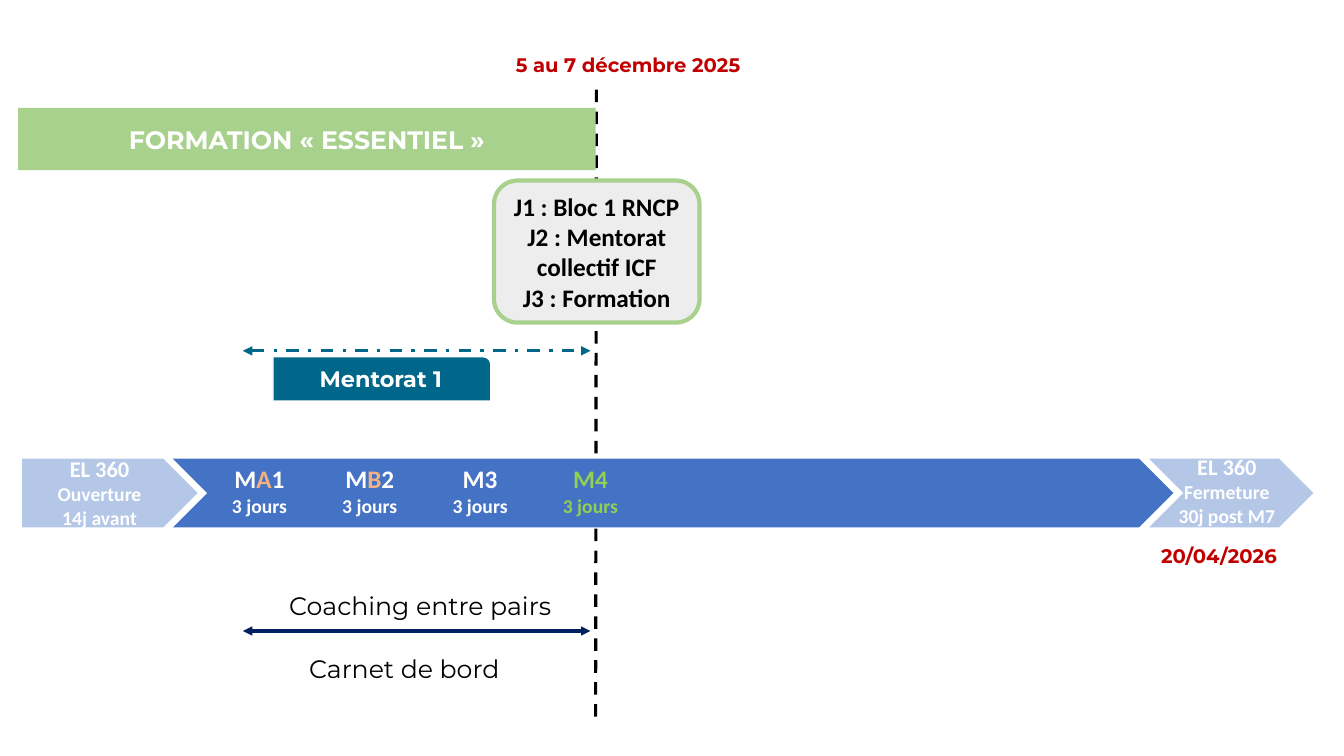
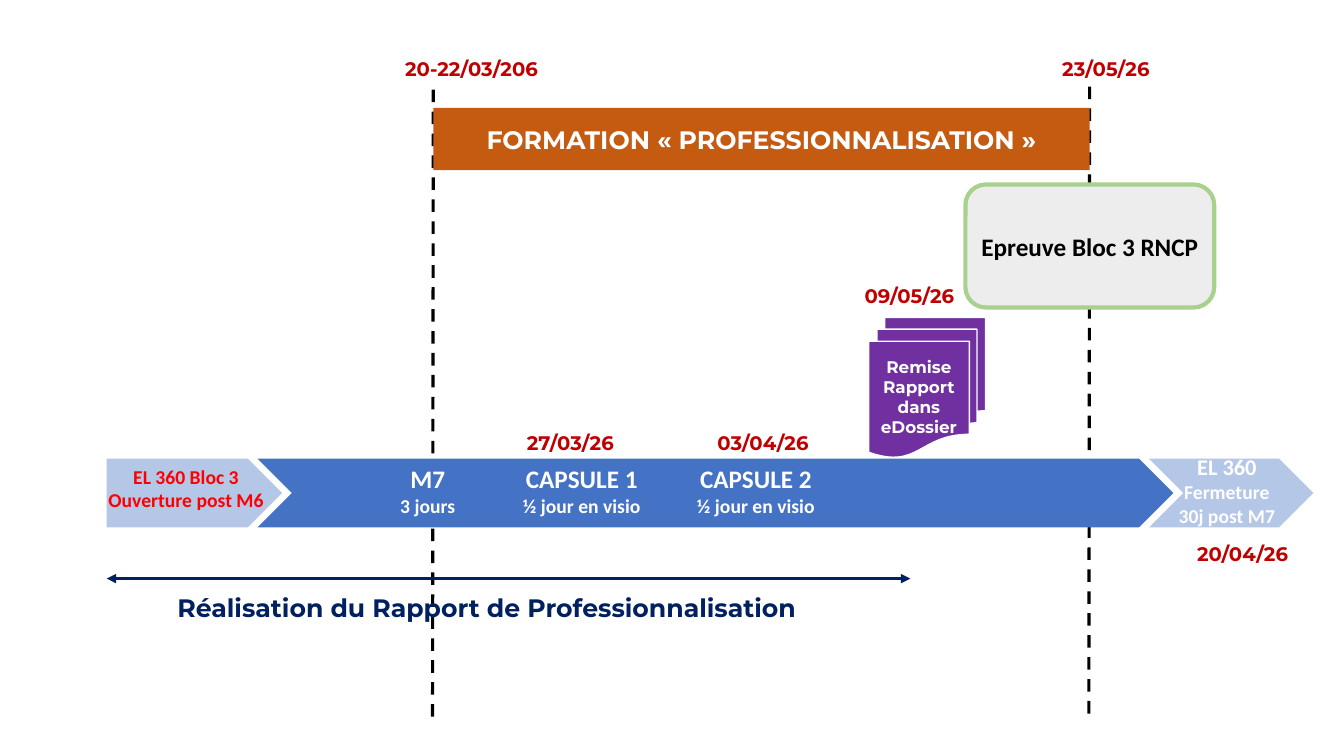
from lxml.etree import SubElement
from pptx import Presentation
from pptx.dml.color import RGBColor
from pptx.enum.dml import MSO_LINE
from pptx.enum.shapes import MSO_CONNECTOR, MSO_SHAPE
from pptx.enum.text import MSO_ANCHOR, MSO_AUTO_SIZE, PP_ALIGN
from pptx.oxml.ns import qn
from pptx.util import Cm, Pt

COLORS = {
    "white": "FFFFFF", "black": "000000", "blue": "4472C4", "pale_blue": "B4C7E7",
    "navy": "002060", "teal": "01678A", "green": "A9D18E", "bright_green": "92D050",
    "orange": "C55A11", "peach": "F4B183", "purple": "7030A0", "grey": "EDEDED",
    "date_red": "C00000", "red": "FF0000",
}


def text_style(name, size, color, bold=True):
    return {"name": name, "size": Pt(size), "bold": bold}, color


STYLES = {
    "banner": text_style("Montserrat", 18, "white"),
    "date": text_style("Montserrat", 14, "date_red"),
    "activity": text_style("Montserrat", 18, "black", False),
    "report": text_style("Montserrat", 18, "navy"),
    "mentoring": text_style("Montserrat", 16, "white"),
    "document": text_style("Montserrat", 12, "white"),
    "card": text_style("Calibri", 18, "black"),
    "module": text_style("Calibri", 18, "white"),
    "variant": text_style("Calibri", 18, "peach"),
    "current": text_style("Calibri", 18, "bright_green"),
    "duration": text_style("Calibri", 14, "white"),
    "current_duration": text_style("Calibri", 14, "bright_green"),
    "survey": text_style("Calibri", 16, "white"),
    "alert": text_style("Calibri", 14, "red"),
}

# Positions shared by both slides, in centimetres
BAND_TOP, BAND_HEIGHT, BAND_RIGHT = 11.56, 1.73, 29.57
BANNER_TOP, BANNER_HEIGHT = 2.72, 1.57
LINE_TOP, LINE_LENGTH = 2.26, 16


class Timeline:
    """Holds the style and the current slide; lengths are centimetres."""

    def __init__(self):
        self.presentation = Presentation()
        self.presentation.slide_width = Cm(33.87)
        self.presentation.slide_height = Cm(19.05)
        self.slide = None

    def new_slide(self):
        self.slide = self.presentation.slides.add_slide(self.presentation.slide_layouts[6])

    def color(self, name):
        return RGBColor.from_string(COLORS[name])

    def add_paragraphs(self, frame, paragraphs, align):
        """Each paragraph is a list of (text, style name) runs."""
        for index, runs in enumerate(paragraphs):
            paragraph = frame.paragraphs[0] if index == 0 else frame.add_paragraph()
            paragraph.alignment = align
            for text, style in runs:
                run = paragraph.add_run()
                run.text = text
                values, color = STYLES[style]
                for attribute, value in values.items():
                    setattr(run.font, attribute, value)
                run.font.color.rgb = self.color(color)

    def text(self, left, top, width, height, paragraphs, align=PP_ALIGN.LEFT, wrap=False):
        box = self.slide.shapes.add_textbox(Cm(left), Cm(top), Cm(width), Cm(height))
        box.text_frame.word_wrap = wrap
        box.text_frame.auto_size = MSO_AUTO_SIZE.SHAPE_TO_FIT_TEXT
        self.add_paragraphs(box.text_frame, paragraphs, align)

    def shape(self, kind, left, top, width, height, fill, line=None, line_width=1, paragraphs=()):
        shape = self.slide.shapes.add_shape(kind, Cm(left), Cm(top), Cm(width), Cm(height))
        shape.shadow.inherit = False
        shape.fill.solid()
        shape.fill.fore_color.rgb = self.color(fill)
        if line:
            shape.line.color.rgb = self.color(line)
            shape.line.width = Pt(line_width)
        else:
            shape.line.fill.background()
        shape.text_frame.vertical_anchor = MSO_ANCHOR.MIDDLE
        self.add_paragraphs(shape.text_frame, paragraphs, PP_ALIGN.CENTER)
        return shape

    def line(self, start, end, color, dash=None, arrows=False):
        points = [Cm(value) for value in (*start, *end)]
        connector = self.slide.shapes.add_connector(MSO_CONNECTOR.STRAIGHT, *points)
        connector.line.color.rgb = self.color(color)
        connector.line.width = Pt(2.25)
        if dash:
            connector.line.dash_style = dash
        properties = connector.element.spPr
        if arrows:
            outline = properties.find(qn("a:ln"))
            for end_name in ("a:headEnd", "a:tailEnd"):
                SubElement(outline, qn(end_name)).set("type", "triangle")
        SubElement(properties, qn("a:effectLst"))

    def marker(self, x, top=LINE_TOP):
        self.line((x, top), (x - 0.02, top + LINE_LENGTH), "black", MSO_LINE.DASH)

    def span(self, left, right, y, color, dash=None):
        self.line((left, y), (right, y), color, dash, arrows=True)

    def banner(self, left, right, text, fill):
        self.shape(MSO_SHAPE.RECTANGLE, left, BANNER_TOP, right - left, BANNER_HEIGHT, fill,
                   paragraphs=[[(text, "banner")]])

    def band(self, opening_left):
        """Opening arrow, main chevron and closing chevron with its label."""
        main_left = opening_left + 3.8
        for kind, left, width, fill in (
            (MSO_SHAPE.CHEVRON, main_left, BAND_RIGHT - main_left, "blue"),
            (MSO_SHAPE.PENTAGON, opening_left, 4.42, "pale_blue"),
            (MSO_SHAPE.CHEVRON, 28.96, 4.14, "pale_blue"),
        ):
            self.shape(kind, left, BAND_TOP, width, BAND_HEIGHT, fill)
        self.survey(30.92, 11.3, "Fermeture", "30j post M7")

    def centered(self, center, top, width, height, paragraphs):
        self.text(center - width / 2, top, width, height, paragraphs, PP_ALIGN.CENTER)

    def survey(self, center, top, moment, delay):
        self.centered(center, top, 3.08, 2.13, [
            [("EL 360", "survey")], [(moment, "duration")], [(delay, "duration")]])

    def module(self, center, title, duration="3 jours", style="duration"):
        self.centered(center, BAND_TOP, 3.5, 1.63, [title, [(duration, style)]])

    def date(self, left, top, width, text):
        self.text(left, top, width, 0.86, [[(text, "date")]])

    def card(self, left, top, width, height, lines):
        card = self.shape(MSO_SHAPE.ROUNDED_RECTANGLE, left, top, width, height, "grey",
                          "green", 3, [[(line, "card")] for line in lines])
        card.text_frame.margin_left = card.text_frame.margin_right = Cm(0.2)


def essential_slide(timeline):
    timeline.new_slide()
    timeline.marker(15.03)
    timeline.band(0.56)
    timeline.survey(2.51, 11.35, "Ouverture", "14j avant")

    # Modules at equal steps
    titles = (
        [("M", "module"), ("A", "variant"), ("1", "module")],
        [("M", "module"), ("B", "variant"), ("2", "module")],
        [("M3", "module")],
    )
    for index, title in enumerate(titles):
        timeline.module(6.54 + 2.78 * index, title)
    timeline.module(14.88, [("M4", "current")], style="current_duration")

    # Peer coaching and mentoring
    timeline.span(6.12, 14.88, 15.9, "navy")
    timeline.text(7.04, 14.76, 7.21, 1.02, [[("Coaching entre pairs", "activity")]])
    timeline.text(7.54, 16.33, 7.21, 1.04, [[("Carnet de bord", "activity")]], wrap=True)
    timeline.span(6.12, 14.88, 8.84, "teal", MSO_LINE.DASH_DOT)
    timeline.shape(MSO_SHAPE.ROUND_1_RECTANGLE, 6.88, 8.99, 5.49, 1.12, "teal", "white",
                   paragraphs=[[("Mentorat 1", "mentoring")]])

    # Programme, dates and banner
    timeline.card(12.45, 4.55, 5.18, 3.58,
                  ["J1 : Bloc 1 RNCP", "J2 : Mentorat collectif ICF", "J3 : Formation"])
    timeline.date(12.75, 1.22, 6.22, "5 au 7 décembre 2025")
    timeline.date(29.01, 13.59, 3.45, "20/04/2026")
    timeline.banner(0.46, 15.01, "FORMATION « ESSENTIEL »", "green")


def professional_slide(timeline):
    timeline.new_slide()
    timeline.marker(27.46, 2.18)
    timeline.marker(10.92)
    timeline.band(2.69)
    timeline.centered(4.69, 11.58, 4.45, 1.45, [
        [("EL 360 Bloc 3", "alert")], [("Ouverture post M6", "alert")]])
    timeline.banner(10.92, 27.46, "FORMATION « PROFESSIONNALISATION »", "orange")

    # Modules
    timeline.module(10.78, [("M7", "module")])
    for center, title in ((14.66, "CAPSULE 1"), (19.05, "CAPSULE 2")):
        timeline.module(center, [(title, "module")], "½ jour en visio")

    # Report and exam
    timeline.span(2.69, 22.94, 14.58, "navy")
    timeline.text(4.22, 14.81, 16.94, 1.02,
                  [[("Réalisation du Rapport de Professionnalisation", "report")]], wrap=True)
    timeline.shape(MSO_SHAPE.FLOWCHART_MULTIDOCUMENT, 21.89, 8, 2.95, 3.53, "purple", "white",
                   paragraphs=[[("Remise Rapport dans eDossier", "document")]])
    timeline.card(24.33, 4.65, 6.27, 3.1, ["Epreuve Bloc 3 RNCP"])

    # Dates
    for left, top, width, text in (
        (9.96, 1.32, 3.89, "20-22/03/206"),
        (26.52, 1.32, 2.74, "23/05/26"),
        (21.54, 7.04, 2.79, "09/05/26"),
        (29.92, 13.54, 2.82, "20/04/26"),
        (13.03, 10.74, 2.74, "27/03/26"),
        (17.83, 10.74, 2.82, "03/04/26"),
    ):
        timeline.date(left, top, width, text)


def main():
    timeline = Timeline()
    essential_slide(timeline)
    professional_slide(timeline)
    timeline.presentation.save("out.pptx")


if __name__ == "__main__":
    main()
